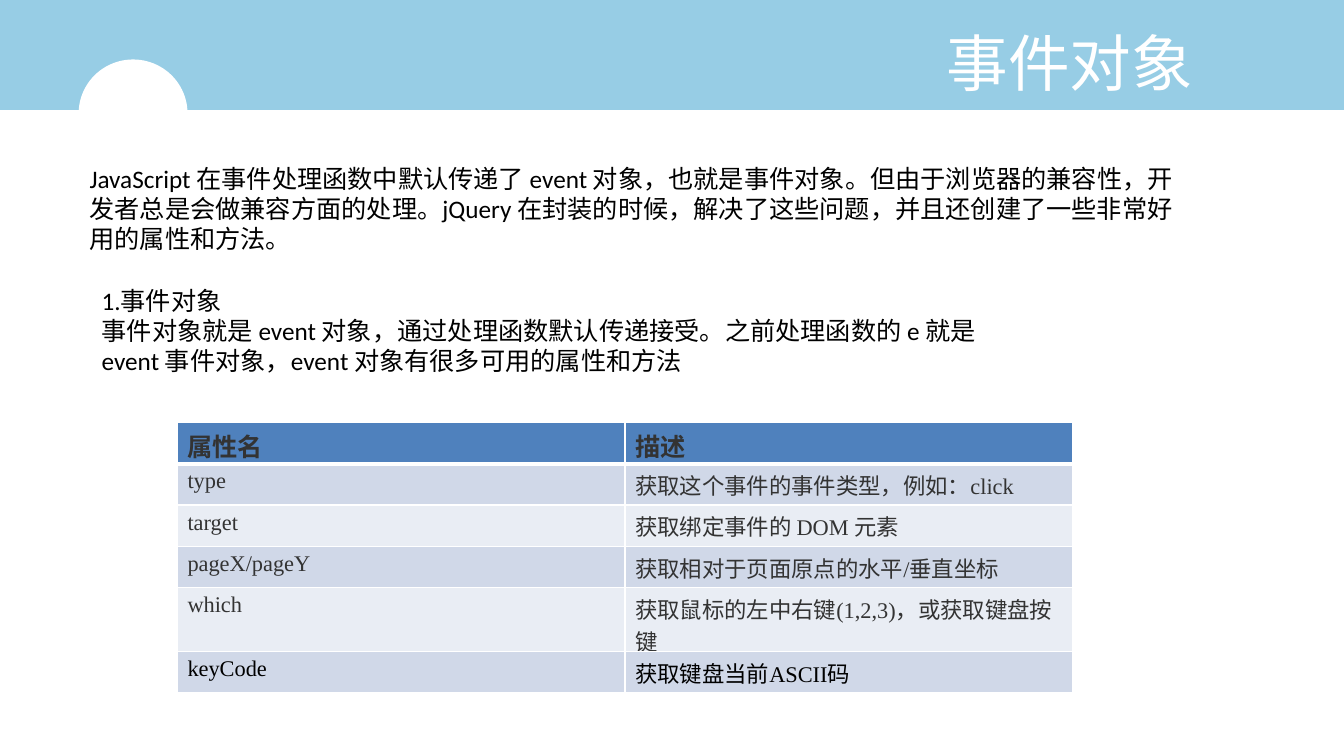
import pptx
import pptx.util
import pptx.dml.color
import pptx.enum.shapes
import pptx.enum.text
import pptx.oxml
import pptx.oxml.ns
from pptx.util import Inches

COLORS = {
    "sky": "97CDE5", "white": "FFFFFF", "black": "000000", "gray": "333333",
    "header": "4F81BD", "odd": "D0D8E8", "even": "E9EDF4",
}
BODY, CJK, SERIF = "Calibri", "Noto Sans CJK JP", "Times New Roman"


def rgb(name):
    return pptx.dml.color.RGBColor.from_string(COLORS[name])


class SlideBuilder:
    def __init__(self, slide):
        self.slide = slide

    def run(self, paragraph, text, size, color, font=BODY, bold=False):
        run = paragraph.add_run()
        run.text = text
        run.font.size = pptx.util.Pt(size)
        run.font.bold = bold
        run.font.name = font
        run.font.color.rgb = rgb(color)
        east_asian = pptx.oxml.parse_xml(
            f'<a:ea {pptx.oxml.ns.nsdecls("a")} typeface="{CJK}"/>')
        run.font._element.append(east_asian)

    def shape(self, kind, box, color):
        shape = self.slide.shapes.add_shape(kind, *map(Inches, box))
        shape.shadow.inherit = False
        shape.fill.solid()
        shape.fill.fore_color.rgb = rgb(color)
        shape.line.fill.background()

    def title(self, text, box):
        title = self.slide.shapes.title
        title.left, title.top, title.width, title.height = map(Inches, box)
        frame = title.text_frame
        frame.word_wrap = True
        frame.auto_size = pptx.enum.text.MSO_AUTO_SIZE.NONE
        frame.vertical_anchor = pptx.enum.text.MSO_ANCHOR.MIDDLE
        frame.paragraphs[0].alignment = pptx.enum.text.PP_ALIGN.CENTER
        self.run(frame.paragraphs[0], text, 44, "white")
        # Bring the title in front of the banner
        self.slide.shapes._spTree.append(title._element)

    def text(self, paragraphs, box):
        frame = self.slide.shapes.add_textbox(*map(Inches, box)).text_frame
        frame.word_wrap = True
        frame.auto_size = pptx.enum.text.MSO_AUTO_SIZE.SHAPE_TO_FIT_TEXT
        for index, text in enumerate(paragraphs):
            paragraph = frame.add_paragraph() if index else frame.paragraphs[0]
            self.run(paragraph, text, 18, "black")

    def borders(self, cell, top, bottom):
        properties = cell._tc.get_or_add_tcPr()
        widths = {"L": 1, "R": 1, "T": top, "B": bottom}
        for index, (side, width) in enumerate(widths.items()):
            properties.insert(index, pptx.oxml.parse_xml(
                f'<a:ln{side} {pptx.oxml.ns.nsdecls("a")} w="{pptx.util.Pt(width)}">'
                f'<a:solidFill><a:srgbClr val="{COLORS["white"]}"/></a:solidFill>'
                f'</a:ln{side}>'))

    def table(self, rows, box, row_height):
        table = self.slide.shapes.add_table(
            len(rows), len(rows[0]), *map(Inches, box)).table
        for index, row in enumerate(rows):
            table.rows[index].height = Inches(row_height)
            is_header = index == 0
            fill = "header" if is_header else "odd" if index % 2 else "even"
            color = "black" if index == len(rows) - 1 else "gray"
            for column, runs in enumerate(row):
                cell = table.cell(index, column)
                cell.fill.solid()
                cell.fill.fore_color.rgb = rgb(fill)
                self.borders(cell, 3 if index == 1 else 1, 3 if is_header else 1)
                for text, font in runs:
                    self.run(cell.text_frame.paragraphs[0], text,
                             18 if is_header else 16, color, font, is_header)


deck = pptx.Presentation()
deck.slide_width, deck.slide_height = Inches(13.33), Inches(7.5)
page = SlideBuilder(deck.slides.add_slide(deck.slide_layouts[5]))

# Banner with its white dome
SHAPES = pptx.enum.shapes.MSO_SHAPE
page.shape(SHAPES.RECTANGLE, (0, 0, 13.33, 1.09), "sky")
page.shape(SHAPES.OVAL, (0.78, 0.59, 1.08, 1.07), "white")
page.title("事件对象", (8.55, 0.11, 4.12, 1))

# Introduction and section text
page.text(["JavaScript 在事件处理函数中默认传递了 event 对象，也就是事件对象。"
           "但由于浏览器的兼容性，开发者总是会做兼容方面的处理。"
           "jQuery 在封装的时候，解决了这些问题，并且还创建了一些非常好用的属性和方法。"],
          (0.79, 1.57, 11.07, 1.31))
page.text(["1.事件对象",
           "事件对象就是 event 对象，通过处理函数默认传递接受。之前处理函数的 e 就是 "
           "event 事件对象，event 对象有很多可用的属性和方法"],
          (0.91, 2.78, 9.01, 1.01))

# Event properties
header = [[("属性名", CJK)], [("描述", CJK)]]
event_properties = [
    ("type", [("获取这个事件的事件类型，例如：click", SERIF)]),
    ("target", [("获取绑定事件的 ", CJK), ("DOM ", SERIF), ("元素", CJK)]),
    ("pageX/pageY", [("获取相对于页面原点的水平/垂直坐标", SERIF)]),
    ("which", [("获取鼠标的左中右键(1,2,3)，或获取键盘按键", SERIF)]),
    ("keyCode", [("获取键盘当前ASCII码", SERIF)]),
]
rows = [header] + [[[(name, SERIF)], runs] for name, runs in event_properties]
page.table(rows, (1.76, 4.19, 8.88, 2.46), 0.41)

deck.save("out.pptx")
